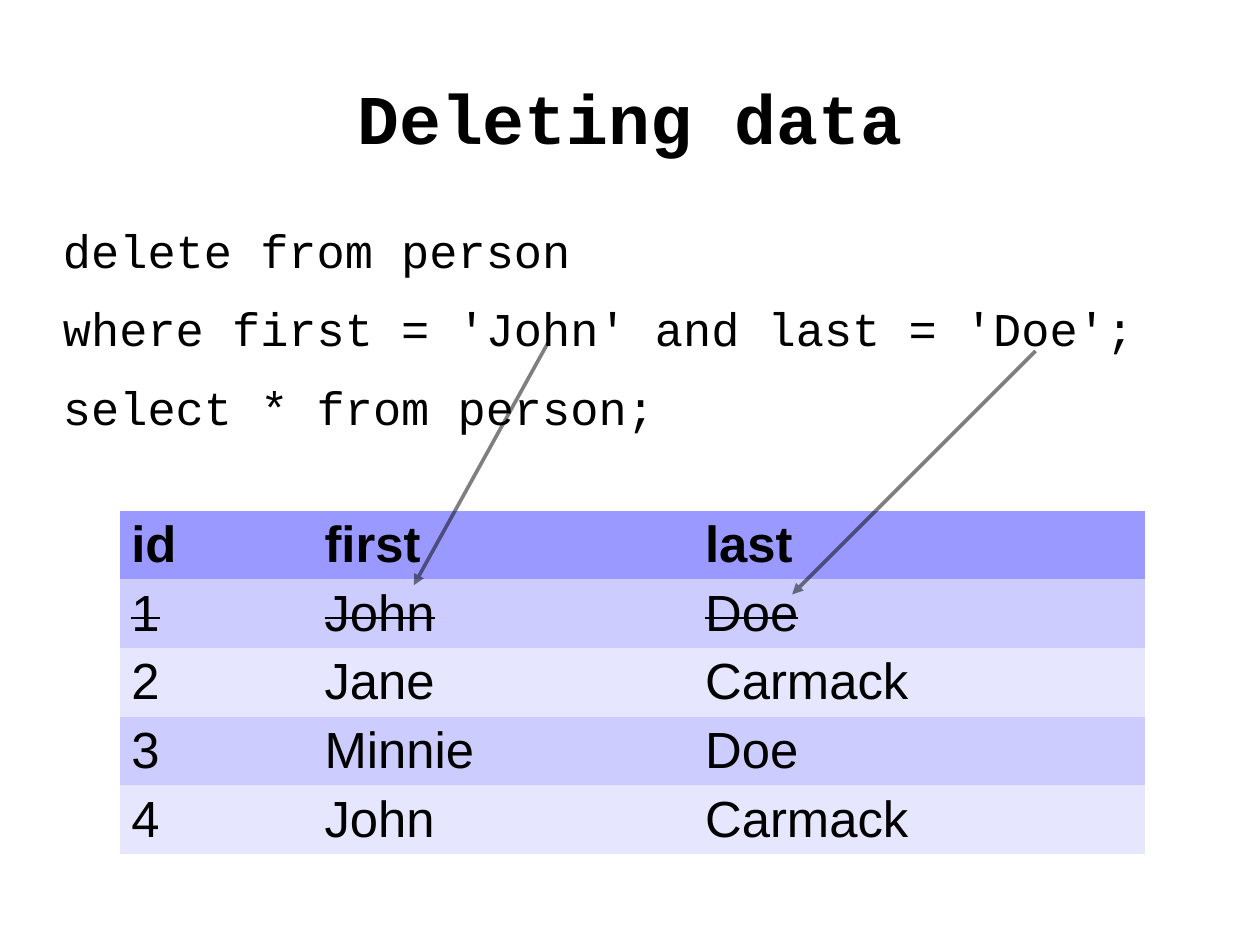
from dataclasses import dataclass

from lxml.etree import SubElement
from pptx import Presentation
from pptx.dml.color import RGBColor as Rgb
from pptx.enum.shapes import MSO_CONNECTOR as Connector
from pptx.enum.text import MSO_ANCHOR as Anchor, PP_ALIGN as Align
from pptx.oxml.ns import qn
from pptx.util import Cm, Pt


@dataclass(frozen=True)
class Theme:
    """Colours, fonts and sizes of the slide."""
    ink: str = "000000"
    header: str = "9999FF"
    bands: tuple = ("CCCCFF", "E6E6FF")
    code_font: str = "Courier New"
    table_font: str = "Arial"
    title_size: float = 44
    code_size: float = 29.6
    table_size: float = 32
    code_gap: float = 14.2
    cell_bottom: float = 1
    arrow_width: float = 2.3
    arrow_opacity: int = 50
    plain_table: str = "{2D5ABB26-0587-4C30-8999-92F81FD0307C}"


def write(frame, text, *, font, size, color, bold=False, strike=False,
          align=Align.LEFT, gap=0):
    """Fill a text frame with one paragraph per line of text."""
    for number, line in enumerate(text.split("\n")):
        paragraph = frame.add_paragraph() if number else frame.paragraphs[0]
        paragraph.alignment = align
        paragraph.space_after = Pt(gap)
        run = paragraph.add_run()
        run.text = line
        run.font.name, run.font.size, run.font.bold = font, Pt(size), bold
        run.font.color.rgb = Rgb.from_string(color)
        if strike:
            run.font._element.set("strike", "sngStrike")


class Board:
    """Draws on one slide; every length is a percentage of the slide's size."""

    def __init__(self, deck, theme):
        """Add a blank slide to the deck."""
        self.theme = theme
        self.width, self.height = deck.slide_width, deck.slide_height
        self.shapes = deck.slides.add_slide(deck.slide_layouts[6]).shapes

    def x(self, share):
        """Turn a share of the width into a length."""
        return round(self.width * share / 100)

    def y(self, share):
        """Turn a share of the height into a length."""
        return round(self.height * share / 100)

    def text(self, content, left, top, width, height, anchor=Anchor.TOP, **style):
        """Add a wrapping text box without margins."""
        frame = self.shapes.add_textbox(
            self.x(left), self.y(top), self.x(width), self.y(height)).text_frame
        frame.word_wrap, frame.vertical_anchor = True, anchor
        frame.margin_left = frame.margin_right = 0
        frame.margin_top = frame.margin_bottom = 0
        write(frame, content, color=self.theme.ink, font=self.theme.code_font, **style)

    def table(self, records, left, top, widths, row_height, deleted):
        """Add a banded table, striking through the deleted row."""
        theme = self.theme
        table = self.shapes.add_table(
            len(records), len(widths), self.x(left), self.y(top),
            self.x(sum(widths)), self.y(row_height * len(records))).table
        table._tbl.tblPr.find(qn("a:tableStyleId")).text = theme.plain_table
        for column, width in zip(table.columns, widths):
            column.width = self.x(width)
        for number, record in enumerate(records):
            table.rows[number].height = self.y(row_height)
            band = theme.bands[(number - 1) % 2] if number else theme.header
            for cell, value in zip(table.rows[number].cells, record):
                cell.fill.solid()
                cell.fill.fore_color.rgb = Rgb.from_string(band)
                cell.margin_bottom = Pt(theme.cell_bottom)
                write(cell.text_frame, value, font=theme.table_font,
                      size=theme.table_size, color=theme.ink,
                      bold=number == 0, strike=number == deleted)

    def arrow(self, start, end):
        """Add a translucent arrow from start to end."""
        arrow = self.shapes.add_connector(
            Connector.STRAIGHT, self.x(start[0]), self.y(start[1]),
            self.x(end[0]), self.y(end[1]))
        arrow.line.width = Pt(self.theme.arrow_width)
        arrow.line.color.rgb = Rgb.from_string(self.theme.ink)
        properties = arrow._element.spPr
        outline = properties.find(qn("a:ln"))
        ink = outline.find(".//" + qn("a:srgbClr"))
        SubElement(ink, qn("a:alpha"), val=str(self.theme.arrow_opacity * 1000))
        SubElement(outline, qn("a:tailEnd"), type="triangle")
        SubElement(properties, qn("a:effectLst"))


def main():
    """Build the slide on deleting rows and save it."""
    deck = Presentation()
    deck.slide_width, deck.slide_height = Cm(28), Cm(21)
    theme = Theme()
    board = Board(deck, theme)
    board.text("Deleting data", 5, 4, 90, 16.7, anchor=Anchor.MIDDLE,
               size=theme.title_size, bold=True, align=Align.CENTER)
    query = ("delete from person\n"
             "where first = 'John' and last = 'Doe';\n"
             "select * from person;")
    board.text(query, 5, 23.4, 90, 23.6, size=theme.code_size, gap=theme.code_gap)
    people = [("id", "first", "last"),
              ("1", "John", "Doe"),
              ("2", "Jane", "Carmack"),
              ("3", "Minnie", "Doe"),
              ("4", "John", "Carmack")]
    board.table(people, 9.52, 54.05, (15.33, 30.21, 35.83), 7.27, deleted=1)
    for condition, matched_cell in (((43.54, 36.16), (32.84, 61.93)),
                                    ((82.19, 37.13), (62.87, 62.9))):
        board.arrow(condition, matched_cell)
    deck.save("out.pptx")


main()
